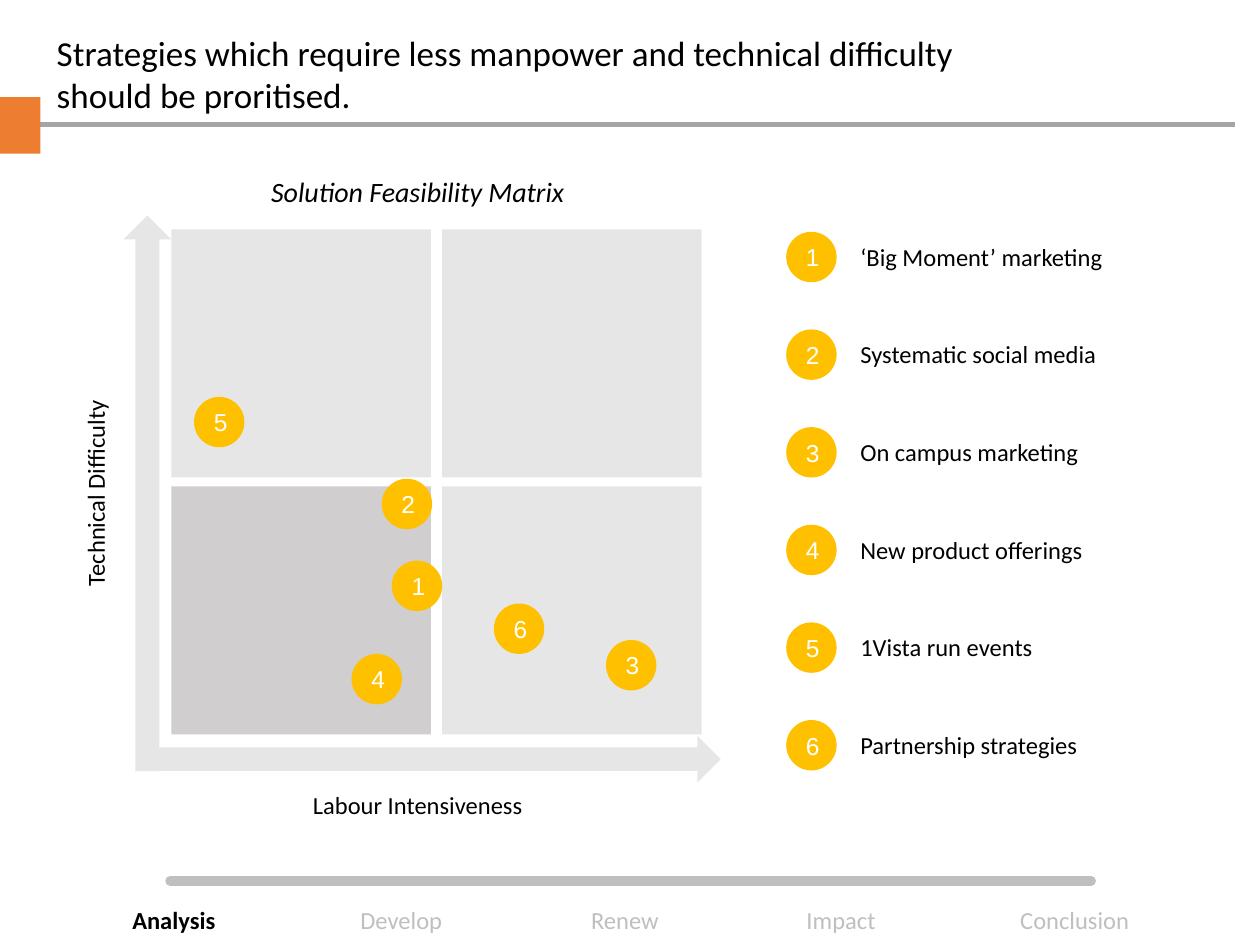
from lxml.etree import SubElement
from pptx import Presentation
from pptx.dml.color import RGBColor
from pptx.enum.shapes import MSO_CONNECTOR, MSO_SHAPE
from pptx.enum.text import MSO_ANCHOR, MSO_AUTO_SIZE, PP_ALIGN
from pptx.oxml.ns import qn
from pptx.util import Inches, Pt

COLORS = {
    "ink": "000000",
    "white": "FFFFFF",
    "muted": "BFBFBF",
    "rule": "A5A5A5",
    "accent": "ED7D31",
    "marker": "FFC000",
    "cell": "E7E6E6",
    "priority": "D0CECE",
}

STRATEGIES = ["‘Big Moment’ marketing", "Systematic social media",
              "On campus marketing", "New product offerings",
              "1Vista run events", "Partnership strategies"]
# Strategy number: left and top of its marker on the matrix
PLOTTED = {3: (4.81, 5.08), 5: (1.54, 3.15), 1: (3.11, 4.45),
           2: (3.03, 3.8), 6: (3.92, 4.79), 4: (2.79, 5.19)}
# Stage name: left and width of its label
STAGES = {"Analysis": (0.89, 0.98), "Develop": (2.7, 0.97),
          "Renew": (4.57, 0.78), "Impact": (6.24, 0.87),
          "Conclusion": (7.95, 1.16)}

MATRIX_LEFT, MATRIX_TOP = 1.36, 1.82
CELL_W, CELL_H = 2.06, 1.97
COL_PITCH, ROW_PITCH = 2.15, 2.04
LEGEND_LEFT, LEGEND_TOP, LEGEND_PITCH = 6.24, 1.84, 0.775
MARKER = 0.4


def color(name):
    return RGBColor.from_string(COLORS[name])


def place(s, left, top, width, height):
    s.left, s.top = Inches(left), Inches(top)
    s.width, s.height = Inches(width), Inches(height)


def write(s, text, size=14, ink="ink", font="Calibri", align=PP_ALIGN.LEFT,
          anchor=MSO_ANCHOR.TOP, bold=False, italic=False):
    tf = s.text_frame
    tf.text = text
    tf.word_wrap = True
    tf.auto_size = MSO_AUTO_SIZE.NONE
    tf.vertical_anchor = anchor
    p = tf.paragraphs[0]
    p.alignment = align
    f = p.runs[0].font
    f.name, f.size, f.bold, f.italic = font, Pt(size), bold, italic
    f.color.rgb = color(ink)


def add_label(slide, box, text, **style):
    s = slide.shapes.add_textbox(*map(Inches, box))
    write(s, text, **style)
    return s


def add_caption(slide, left, top, text, **style):
    """Add a centred caption for the matrix or one of its axes."""
    return add_label(slide, (left, top, 3.39, 0.45), text,
                     align=PP_ALIGN.CENTER, anchor=MSO_ANCHOR.MIDDLE, **style)


def add_block(slide, kind, box, fill):
    s = slide.shapes.add_shape(kind, *map(Inches, box))
    s.shadow.inherit = False
    s.fill.solid()
    s.fill.fore_color.rgb = color(fill)
    s.line.fill.background()
    return s


def add_marker(slide, number, left, top):
    s = add_block(slide, MSO_SHAPE.OVAL, (left, top, MARKER, MARKER), "marker")
    write(s, str(number), ink="white", font="Arial",
          align=PP_ALIGN.CENTER, anchor=MSO_ANCHOR.MIDDLE)


def add_rule(slide, x1, x2, y, stroke, width, rounded=False):
    s = slide.shapes.add_connector(MSO_CONNECTOR.STRAIGHT, Inches(x1),
                                   Inches(y), Inches(x2), Inches(y))
    s.line.color.rgb = color(stroke)
    s.line.width = Pt(width)
    if rounded:
        s.line._get_or_add_ln().set("cap", "rnd")
    SubElement(s._element.spPr, qn("a:effectLst"))


def add_header(slide):
    add_rule(slide, 0.32, 9.8, 0.99, "rule", 3)
    add_block(slide, MSO_SHAPE.RECTANGLE, (0, 0.77, 0.32, 0.45), "accent")
    title = slide.shapes.title
    place(title, 0.35, 0.2, 7.75, 0.34)
    write(title, "Strategies which require less manpower and technical "
          "difficulty should be proritised.", size=20)


def add_stage_tracker(slide, current):
    add_rule(slide, 1.35, 8.66, 6.99, "muted", 5.5, rounded=True)
    for name, (left, width) in STAGES.items():
        active = name == current
        add_label(slide, (left, 7.13, width, 0.34), name, bold=active,
                  ink="ink" if active else "muted", align=PP_ALIGN.CENTER)


def add_matrix(slide):
    for row in range(2):
        for col in range(2):
            fill = "priority" if (row, col) == (1, 0) else "cell"
            add_block(slide, MSO_SHAPE.RECTANGLE,
                      (MATRIX_LEFT + col * COL_PITCH,
                       MATRIX_TOP + row * ROW_PITCH, CELL_W, CELL_H), fill)
    add_block(slide, MSO_SHAPE.UP_ARROW, (0.98, 1.71, 0.38, 4.41), "cell")
    labour_axis = add_block(slide, MSO_SHAPE.UP_ARROW,
                            (3.24, 3.73, 0.37, 4.59), "cell")
    labour_axis.rotation = 90
    add_caption(slide, 1.62, 1.29, "Solution Feasibility Matrix",
                size=16, italic=True)
    add_caption(slide, 1.62, 6.16, "Labour Intensiveness")
    add_caption(slide, -0.94, 3.69, "Technical Difficulty").rotation = 270
    for number, (left, top) in PLOTTED.items():
        add_marker(slide, number, left, top)


def add_legend(slide):
    for i, strategy in enumerate(STRATEGIES):
        top = LEGEND_TOP + i * LEGEND_PITCH
        add_marker(slide, i + 1, LEGEND_LEFT, top)
        add_label(slide, (LEGEND_LEFT + 0.49, top + 0.03, 2.64, 0.34), strategy)


def main():
    prs = Presentation()
    prs.slide_width, prs.slide_height = Inches(10), Inches(7.5)
    slide = prs.slides.add_slide(prs.slide_layouts[5])
    add_stage_tracker(slide, "Analysis")
    add_header(slide)
    add_matrix(slide)
    add_legend(slide)
    prs.save("out.pptx")


if __name__ == "__main__":
    main()
